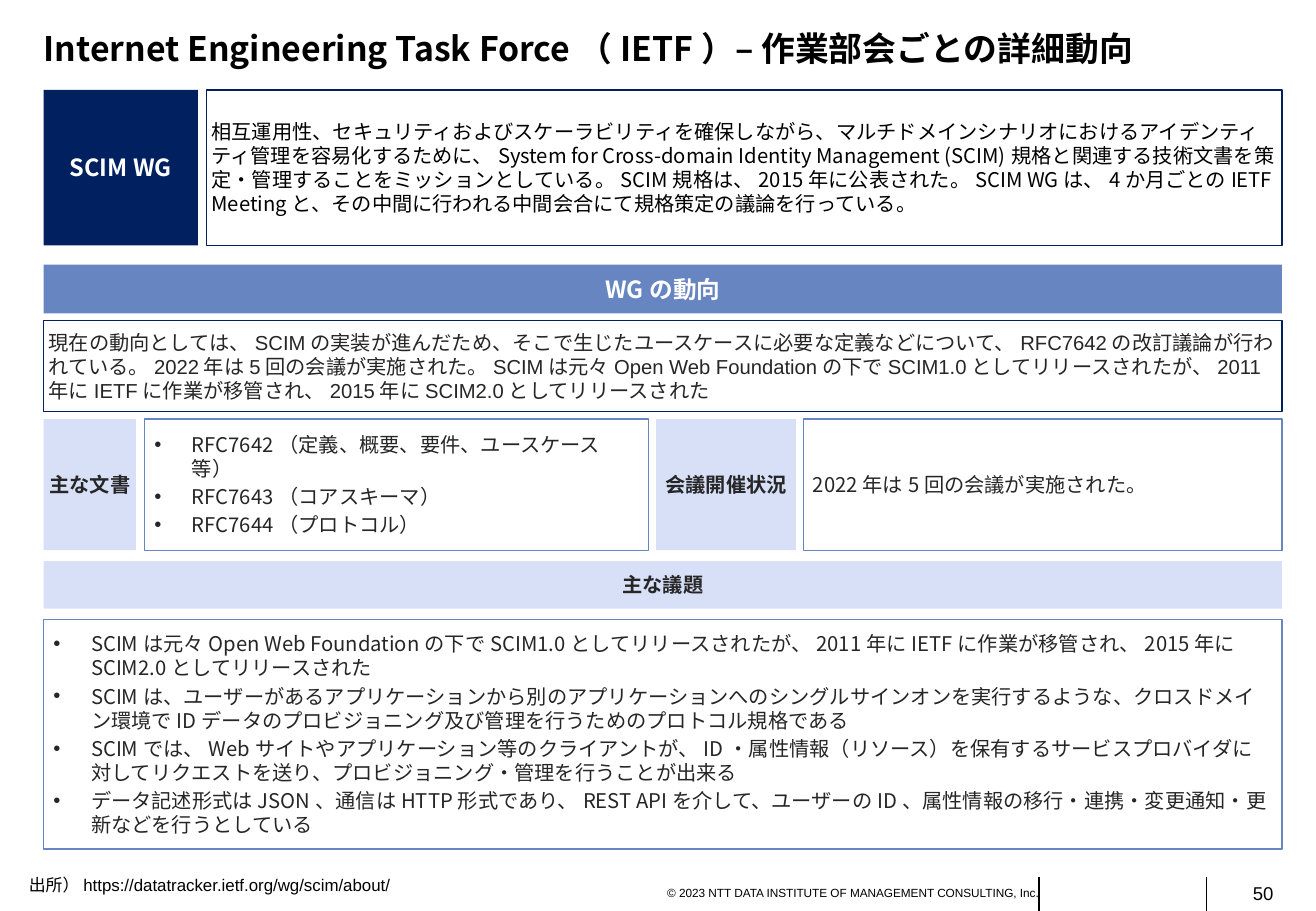
from lxml import etree
from pptx import Presentation
from pptx import util as u
from pptx.dml.color import RGBColor
from pptx.enum import shapes, text
from pptx.oxml.ns import qn

theme = {
    "navy": "002060", "blue": "6785C1", "pale": "D8E0F8",
    "ink": "262626", "black": "000000", "white": "FFFFFF",
    "title": 20, "heading": 14, "body": 12, "source": 10, "page": 11, "copyright": 7,
    "sans": "Noto Sans CJK JP", "arial": "Arial",
    "leading": 1.19, "bullet_gap": 2.4, "line": 0.75,
}
columns = {
    "full": (0.36, 10.19), "group": (0.36, 1.27), "mission": (1.7, 8.85),
    "documents_label": (0.36, 0.76), "documents": (1.19, 4.15),
    "meetings_label": (5.4, 1.15), "meetings": (6.61, 3.94),
}
rows = {
    "mission": (0.74, 1.28), "trend_heading": (2.18, 0.4), "trend": (2.64, 0.75),
    "facts": (3.45, 1.08), "topics_heading": (4.62, 0.39), "topics": (5.1, 1.89),
}
left, center, right = text.PP_ALIGN.LEFT, text.PP_ALIGN.CENTER, text.PP_ALIGN.RIGHT

presentation = Presentation()
presentation.slide_width, presentation.slide_height = u.Inches(10.83), u.Inches(7.5)
slide = presentation.slides.add_slide(presentation.slide_layouts[6])


def write(shape, paragraphs, size, color, font="sans", bold=False, align=left,
          inset=0.0, bullets=False, wrap=True):
    frame = shape.text_frame
    frame.word_wrap = wrap
    frame.margin_left = frame.margin_right = u.Inches(inset)
    frame.margin_top = frame.margin_bottom = u.Inches(0.05)
    frame.text = "\n".join(paragraphs)
    for index, paragraph in enumerate(frame.paragraphs):
        paragraph.alignment = align
        paragraph.line_spacing = u.Pt(theme[size] * theme["leading"])
        if index:
            paragraph.space_before = u.Pt(theme["bullet_gap"])
        if bullets:
            properties = paragraph._p.get_or_add_pPr()
            properties.set("marL", str(u.Inches(0.31)))
            properties.set("indent", str(-u.Inches(0.31)))
            etree.SubElement(properties, qn("a:buFont")).set("typeface", theme["arial"])
            etree.SubElement(properties, qn("a:buChar")).set("char", "•")
        for run in paragraph.runs:
            run.font.size = u.Pt(theme[size])
            run.font.bold = bold
            run.font.name = theme[font]
            run.font.color.rgb = RGBColor.from_string(theme[color])
            etree.SubElement(run.font._element, qn("a:ea")).set("typeface", theme["sans"])


def add_box(column, row, fill=None, line=None):
    (x, width), (y, height) = columns[column], rows[row]
    shape = slide.shapes.add_shape(
        shapes.MSO_SHAPE.RECTANGLE, *map(u.Inches, (x, y, width, height)))
    shape.shadow.inherit = False
    shape.text_frame.vertical_anchor = text.MSO_ANCHOR.MIDDLE
    if fill:
        shape.fill.solid()
        shape.fill.fore_color.rgb = RGBColor.from_string(theme[fill])
    else:
        shape.fill.background()
    if line:
        shape.line.color.rgb = RGBColor.from_string(theme[line])
        shape.line.width = u.Pt(theme["line"])
    else:
        shape.line.fill.background()
    return shape


labels = [
    ("group", "mission", "navy", "SCIM WG", "heading", "white"),
    ("full", "trend_heading", "blue", "WGの動向", "heading", "white"),
    ("documents_label", "facts", "pale", "主な文書", "body", "ink"),
    ("meetings_label", "facts", "pale", "会議開催状況", "body", "ink"),
    ("full", "topics_heading", "pale", "主な議題", "body", "ink"),
]
for column, row, fill, label, size, color in labels:
    write(add_box(column, row, fill=fill), [label], size, color,
          bold=True, align=center, inset=0.04)

mission = (
    "相互運用性、セキュリティおよびスケーラビリティを確保しながら、マルチドメインシナリオにおける"
    "アイデンティティ管理を容易化するために、System for Cross-domain Identity Management (SCIM)"
    "規格と関連する技術文書を策定・管理することをミッションとしている。SCIM規格は、2015年に公表された。"
    "SCIM WGは、4か月ごとのIETF Meetingと、その中間に行われる中間会合にて規格策定の議論を行っている。")
history = (
    "SCIMは元々Open Web Foundationの下でSCIM1.0としてリリースされたが、"
    "2011年にIETFに作業が移管され、2015年にSCIM2.0としてリリースされた")
meetings = "2022年は5回の会議が実施された。"
trend = (
    "現在の動向としては、SCIMの実装が進んだため、そこで生じたユースケースに必要な定義などについて、"
    "RFC7642の改訂議論が行われている。" + meetings + history)
documents = [
    "RFC7642（定義、概要、要件、ユースケース等）",
    "RFC7643（コアスキーマ）",
    "RFC7644（プロトコル）",
]
topics = [
    history,
    "SCIMは、ユーザーがあるアプリケーションから別のアプリケーションへのシングルサインオンを実行するような、"
    "クロスドメイン環境でIDデータのプロビジョニング及び管理を行うためのプロトコル規格である",
    "SCIMでは、Webサイトやアプリケーション等のクライアントが、ID・属性情報（リソース）を保有する"
    "サービスプロバイダに対してリクエストを送り、プロビジョニング・管理を行うことが出来る",
    "データ記述形式はJSON、通信はHTTP形式であり、REST APIを介して、ユーザーのID、"
    "属性情報の移行・連携・変更通知・更新などを行うとしている",
]
panels = [
    ("mission", "mission", "navy", [mission], "black", "sans", 0.04, False),
    ("full", "trend", "navy", [trend], "ink", "arial", 0.04, False),
    ("documents", "facts", "blue", documents, "ink", "sans", 0.08, True),
    ("meetings", "facts", "blue", [meetings], "ink", "sans", 0.08, False),
    ("full", "topics", "blue", topics, "ink", "sans", 0.08, True),
]
for column, row, line, paragraphs, color, font, inset, bullets in panels:
    write(add_box(column, row, line=line), paragraphs, "body", color,
          font=font, inset=inset, bullets=bullets)

captions = [
    ((0.36, 0.18, 10.11, 0.45), "Internet Engineering Task Force（IETF）– 作業部会ごとの詳細動向",
     "title", "sans", True, left, 0, True),
    ((0.14, 7.15, 3.17, 0.27), "出所）https://datatracker.ietf.org/wg/scim/about/",
     "source", "arial", False, left, 0.1, False),
    ((5.42, 7.24, 3.13, 0.22), "© 2023 NTT DATA INSTITUTE OF MANAGEMENT CONSULTING, Inc.",
     "copyright", "arial", False, right, 0, False),
    ((10, 7.21, 0.48, 0.29), "50", "page", "arial", False, right, 0, True),
]
for place, caption, size, font, bold, align, inset, wrap in captions:
    write(slide.shapes.add_textbox(*map(u.Inches, place)), [caption], size, "black",
          font=font, bold=bold, align=align, inset=inset, wrap=wrap)

for x in (8.55, 9.93):
    divider = slide.shapes.add_connector(
        shapes.MSO_CONNECTOR.STRAIGHT, *map(u.Inches, (x, 7.22, x, 7.5)))
    divider.line.color.rgb = RGBColor.from_string(theme["black"])
    divider.line.width = u.Pt(theme["line"])
    etree.SubElement(divider._element.spPr, qn("a:effectLst"))

presentation.save("out.pptx")
